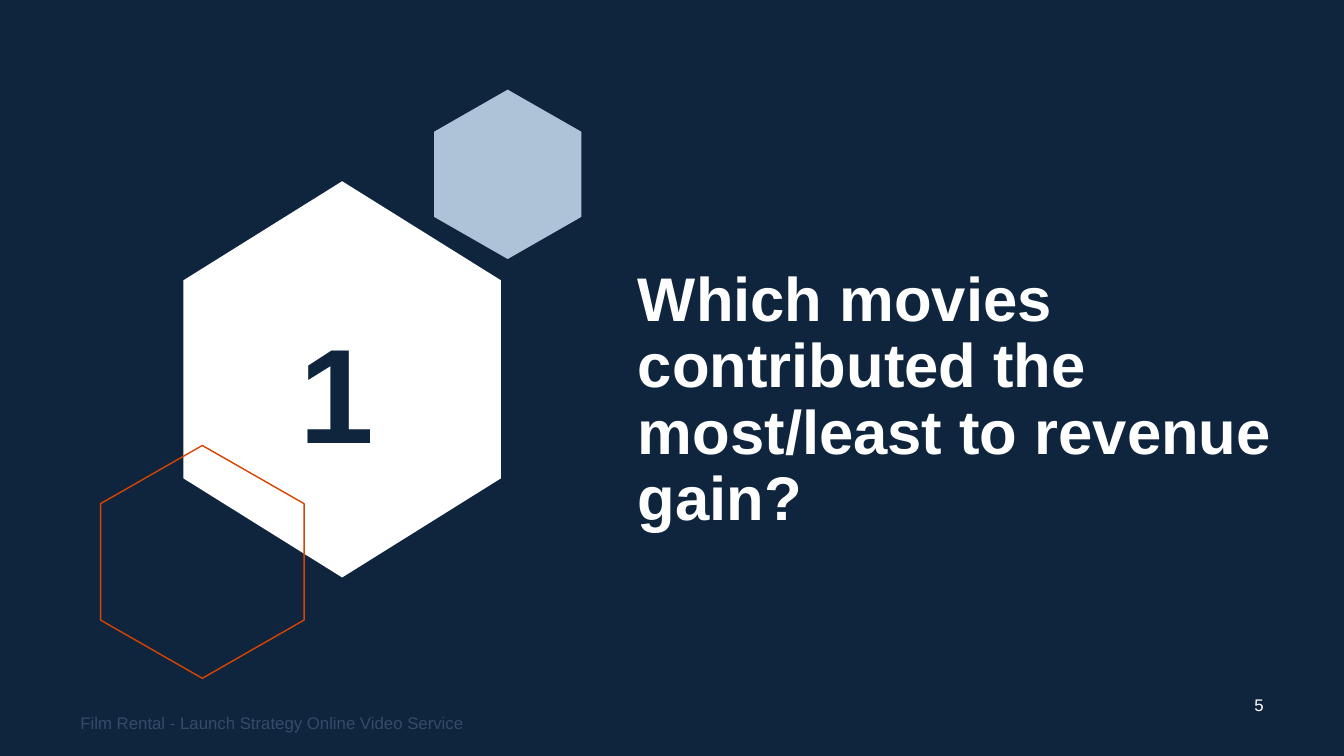
from pptx import Presentation
from pptx import util as u
from pptx.dml.color import RGBColor
from pptx.enum import shapes, text

NAVY = RGBColor(0x0F, 0x25, 0x3E)
WHITE = RGBColor(0xFF, 0xFF, 0xFF)
ORANGE = RGBColor(0xD8, 0x44, 0x00)
PALE_BLUE = RGBColor(0xAE, 0xC2, 0xD8)
SLATE = RGBColor(0x33, 0x4C, 0x6A)
FONT = "Arial"


def add_text(page, box, words, size, color, bold=False, spacing=1.0, before=0,
             align=text.PP_ALIGN.LEFT, anchor=text.MSO_ANCHOR.MIDDLE):
    """Place one formatted paragraph in a box of left, top, width, height."""
    frame = page.shapes.add_textbox(*map(u.Pt, box)).text_frame
    frame.word_wrap = True
    frame.vertical_anchor = anchor
    para = frame.paragraphs[0]
    para.alignment = align
    para.line_spacing = spacing
    para.space_before = u.Pt(before)
    span = para.add_run()
    span.text = words
    span.font.name = FONT
    span.font.size = u.Pt(size)
    span.font.bold = bold
    span.font.color.rgb = color


def add_hexagon(page, box, point, fill=None, line=None):
    """Stand a hexagon on its point so that it fills the upright box."""
    left, top, width, height = box
    shift = (height - width) / 2
    hexagon = page.shapes.add_shape(
        shapes.MSO_SHAPE.HEXAGON,
        *map(u.Pt, (left - shift, top + shift, height, width)))
    hexagon.rotation = 90
    hexagon.adjustments[0] = point
    hexagon.shadow.inherit = False
    if fill is None:
        hexagon.fill.background()
    else:
        hexagon.fill.solid()
        hexagon.fill.fore_color.rgb = fill
    if line is None:
        hexagon.line.fill.background()
    else:
        hexagon.line.color.rgb = line
        hexagon.line.width = u.Pt(1)


def add_emblem(page, box, number):
    """Draw the three hexagons and the section number inside the box."""
    left, top, _, _ = box
    add_hexagon(page, (left + 70, top + 65.5, 226.8, 283), 0.312, fill=WHITE)
    add_hexagon(page, (left + 10.8, top + 254.2, 145.4, 166.3), 0.286, line=ORANGE)
    add_hexagon(page, (left + 249.1, top, 105.1, 121), 0.286, fill=PALE_BLUE)
    add_text(page, (left + 117.6, top + 138.3, 123.8, 84.2), number, 96, NAVY,
             bold=True, spacing=1.13, before=10, align=text.PP_ALIGN.CENTER,
             anchor=text.MSO_ANCHOR.TOP)


def add_footer(page, box, label, number):
    """Set the deck label at the left and the page number at the right."""
    left, top, width, height = box
    add_text(page, (left, top + 12.2, 324, height), label, 12, SLATE)
    add_text(page, (left + width - 36, top, 36, height), number, 12, WHITE,
             align=text.PP_ALIGN.CENTER)


def add_section_slide(deck, number, question, label, page_number):
    """Build a section divider with emblem, question and footer."""
    page = deck.slides.add_slide(deck.slide_layouts[6])
    page.background.fill.solid()
    page.background.fill.fore_color.rgb = NAVY
    add_emblem(page, (61, 64, 354.4, 421), number)
    add_text(page, (448.6, 144.3, 468.7, 284.4), question, 44, WHITE,
             bold=True, spacing=0.9)
    add_footer(page, (50.4, 489.4, 866.9, 28.8), label, page_number)


def main():
    """Create the deck and save it."""
    deck = Presentation()
    deck.slide_width, deck.slide_height = u.Pt(960), u.Pt(540)
    add_section_slide(
        deck, "1", "Which movies contributed the most/least to revenue gain?",
        "Film Rental - Launch Strategy Online Video Service", "5")
    deck.save("out.pptx")


if __name__ == "__main__":
    main()
